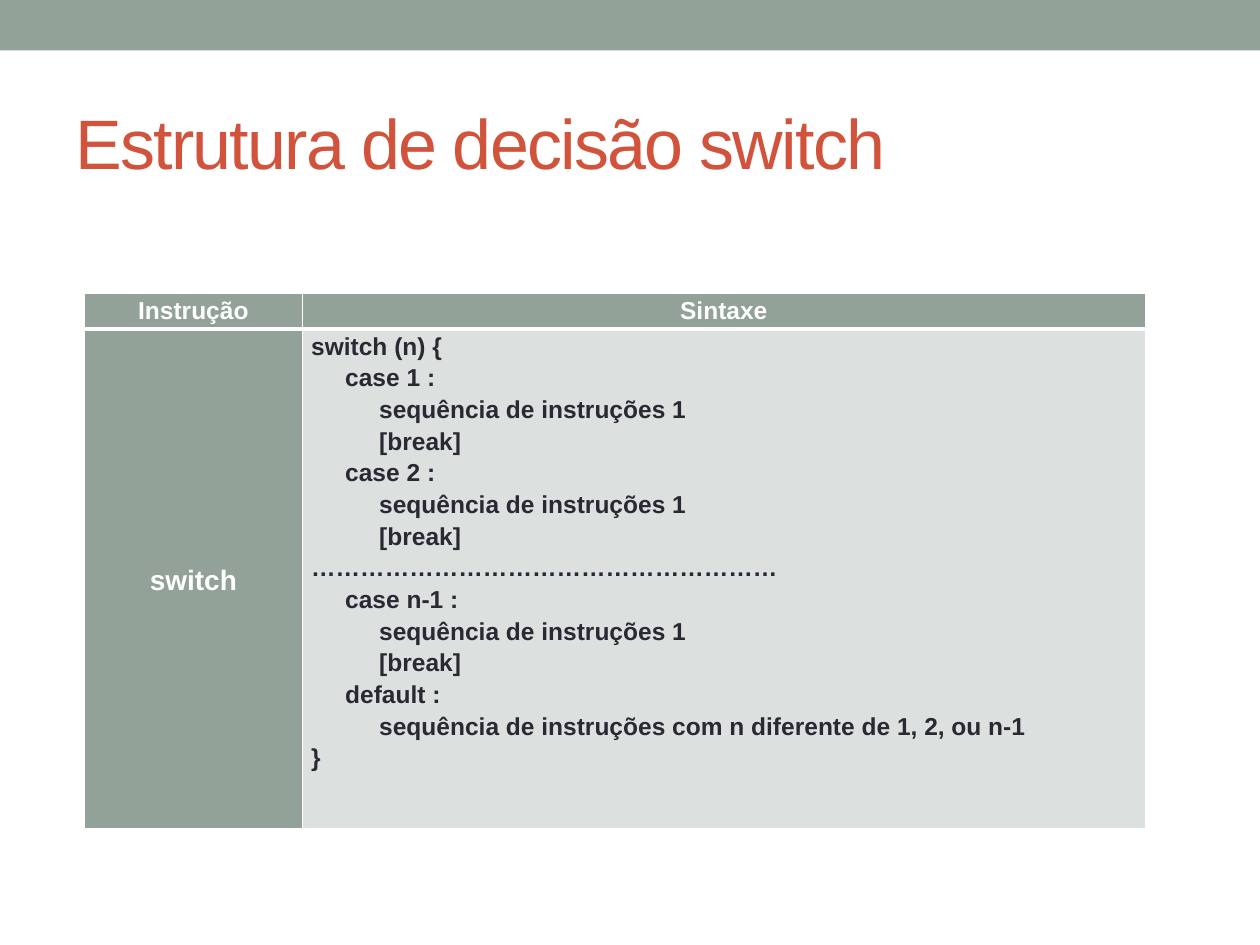
from lxml.etree import SubElement
from pptx import Presentation
from pptx.dml.color import RGBColor
from pptx.enum.shapes import MSO_SHAPE as Shape
from pptx.enum.text import MSO_ANCHOR as Anchor, PP_ALIGN as Align
from pptx.oxml.ns import qn
from pptx.util import Inches, Pt

SAGE, RUST, INK, WHITE, PALE = "93A299", "D2533C", "292934", "FFFFFF", "DCE0DE"
INDENT = 0.27
CASE_BODY = [(2, "sequência de instruções 1"), (2, "[break]")]
SYNTAX = [
    (0, "switch (n) {"),
    (1, "case 1 :"), *CASE_BODY,
    (1, "case 2 :"), *CASE_BODY,
    (0, "…" * 19),
    (1, "case n-1 :"), *CASE_BODY,
    (1, "default :"),
    (2, "sequência de instruções com n diferente de 1, 2, ou n-1"),
    (0, "}"),
]


def color(value):
    """Turn a hex string into a colour."""
    return RGBColor.from_string(value)


def add_span(para, text, size, ink, bold=False):
    """Add one run of Arial text to a paragraph."""
    span = para.add_run()
    span.text = text
    span.font.name = "Arial"
    span.font.size = Pt(size)
    span.font.bold = bold
    span.font.color.rgb = color(ink)
    return span


def add_band(page, left, top, width, height):
    """Draw the plain band at the top of the page."""
    band = page.shapes.add_shape(Shape.RECTANGLE, Inches(left), Inches(top),
                                 Inches(width), Inches(height))
    band.shadow.inherit = False
    band.fill.solid()
    band.fill.fore_color.rgb = color(SAGE)
    band.line.fill.background()


def add_title(page, text, left, top, width, height):
    """Write the title, tightly spaced, in its box."""
    box = page.shapes.add_textbox(Inches(left), Inches(top), Inches(width), Inches(height))
    frame = box.text_frame
    frame.word_wrap = True
    frame.vertical_anchor = Anchor.MIDDLE
    span = add_span(frame.paragraphs[0], text, 40, RUST)
    span.font._element.set("spc", "-100")


def set_borders(cell, widths):
    """Give a cell white borders; widths maps a side (L, R, T, B) to points."""
    properties = cell._tc.get_or_add_tcPr()
    for position, (side, width) in enumerate(widths.items()):
        line = properties.makeelement(qn(f"a:ln{side}"), {"w": str(Pt(width))})
        fill = SubElement(line, qn("a:solidFill"))
        SubElement(fill, qn("a:srgbClr"), val=WHITE)
        properties.insert(position, line)


def fill_cell(cell, lines, size, ink, back, align, anchor=Anchor.TOP, bottom=1):
    """Style a cell and write its (level, text) lines."""
    cell.fill.solid()
    cell.fill.fore_color.rgb = color(back)
    cell.margin_left = cell.margin_right = Inches(0.07)
    cell.margin_top = cell.margin_bottom = 0
    cell.vertical_anchor = anchor
    frame = cell.text_frame
    for number, (level, text) in enumerate(lines):
        para = frame.add_paragraph() if number else frame.paragraphs[0]
        para.alignment = align
        para.line_spacing = 1.15
        if level:
            para._p.get_or_add_pPr().set("marL", str(Inches(INDENT * level)))
        add_span(para, text, size, ink, bold=True)
    set_borders(cell, {"L": 1, "R": 1, "T": 1 if bottom == 3 else 3, "B": bottom})


def add_syntax_table(page, left, top, width, height):
    """Build the table that pairs the statement with its syntax."""
    table = page.shapes.add_table(2, 2, Inches(left), Inches(top),
                                  Inches(width), Inches(height)).table
    name_width, header_height = 1.73, 0.28
    table.columns[0].width = Inches(name_width)
    table.columns[1].width = Inches(width - name_width)
    table.rows[0].height = Inches(header_height)
    table.rows[1].height = Inches(height - header_height)
    for column, heading in enumerate(["Instrução", "Sintaxe"]):
        fill_cell(table.cell(0, column), [(0, heading)], 14, WHITE, SAGE,
                  Align.CENTER, bottom=3)
    fill_cell(table.cell(1, 0), [(0, "switch")], 16, WHITE, SAGE,
              Align.CENTER, Anchor.MIDDLE)
    fill_cell(table.cell(1, 1), SYNTAX, 14, INK, PALE, Align.LEFT)


def main():
    """Build and save the deck."""
    deck = Presentation()
    deck.slide_width, deck.slide_height = Inches(10), Inches(7.5)
    page = deck.slides.add_slide(deck.slide_layouts[6])
    add_band(page, 0, 0, 10, 0.4)
    add_title(page, "Estrutura de decisão switch", 0.5, 0.58, 9, 1.08)
    add_syntax_table(page, 0.67, 2.33, 8.42, 4.25)
    deck.save("out.pptx")


main()
